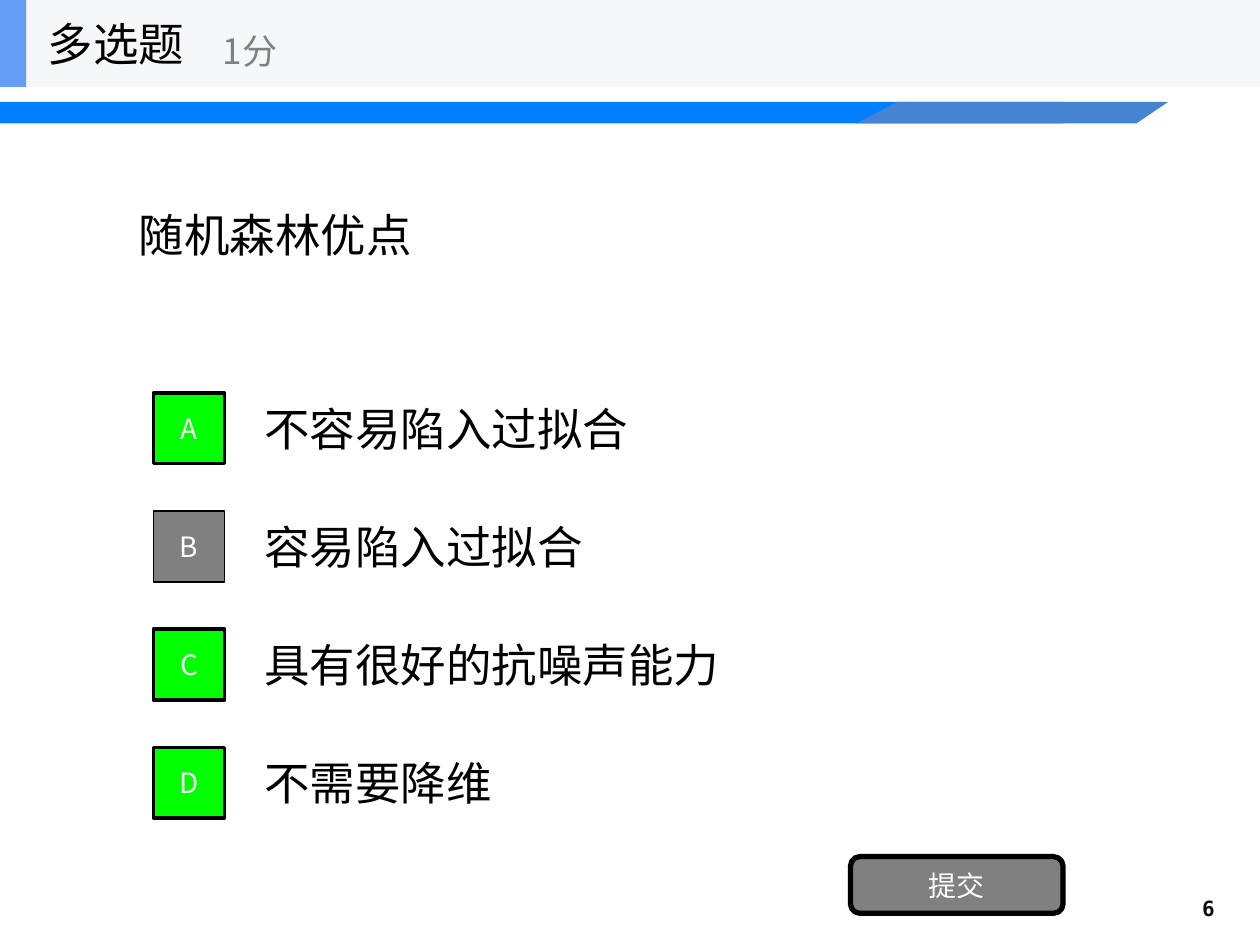
from dataclasses import dataclass

import lxml.etree
import pptx
import pptx.dml.color
import pptx.enum.shapes
import pptx.enum.text
import pptx.oxml.ns
import pptx.util

Pt = pptx.util.Pt
RGBColor = pptx.dml.color.RGBColor
Shape = pptx.enum.shapes.MSO_SHAPE
Align = pptx.enum.text.PP_ALIGN

BLACK = RGBColor(0, 0, 0)
WHITE = RGBColor(255, 255, 255)
GRAY = RGBColor(0x80, 0x80, 0x80)
GREEN = RGBColor(0, 255, 0)
INK = RGBColor(0x0D, 0x0D, 0x0D)
BAND_BLUE = RGBColor(0, 0x80, 0xFF)
BAND_TIP = RGBColor(0x45, 0x84, 0xD3)
HEADER_GRAY = RGBColor(0xF6, 0xF7, 0xF8)
HEADER_BLUE = RGBColor(0x63, 0x9E, 0xF4)

CHINESE_FONT = "Noto Sans CJK SC"
NUMBER_FONT = "DejaVu Sans Mono"
OPTION_TOP = 219.5
OPTION_STEP = 67.5
BADGE_SIZE = 40.5


@dataclass(frozen=True)
class Frame:
    left: float
    top: float
    width: float
    height: float

    def lengths(self) -> tuple:
        return Pt(self.left), Pt(self.top), Pt(self.width), Pt(self.height)


@dataclass(frozen=True)
class Style:
    size: float
    color: RGBColor = BLACK
    align: Align = Align.LEFT
    font: str = CHINESE_FONT
    bold: bool = False


@dataclass(frozen=True)
class Option:
    letter: str
    text: str
    chosen: bool


BODY = Style(26)
BUTTON = Style(16, WHITE, Align.CENTER)
OPTIONS = [
    Option("A", "不容易陷入过拟合", True),
    Option("B", "容易陷入过拟合", False),
    Option("C", "具有很好的抗噪声能力", True),
    Option("D", "不需要降维", True),
]


def write(shape, text: str, style: Style) -> None:
    box = shape.text_frame
    box.word_wrap = True
    box.auto_size = pptx.enum.text.MSO_AUTO_SIZE.NONE
    box.vertical_anchor = pptx.enum.text.MSO_ANCHOR.MIDDLE
    para = box.paragraphs[0]
    para.text = text
    para.alignment = style.align
    para.font.size = Pt(style.size)
    para.font.bold = style.bold
    para.font.color.rgb = style.color
    para.font.name = style.font
    defaults = para._p.pPr.find(pptx.oxml.ns.qn("a:defRPr"))
    east_asian = lxml.etree.SubElement(defaults, pptx.oxml.ns.qn("a:ea"))
    east_asian.set("typeface", style.font)


def paint(shape, fill: RGBColor, line_width: float = 0) -> None:
    shape.shadow.inherit = False
    shape.fill.solid()
    shape.fill.fore_color.rgb = fill
    if line_width:
        shape.line.color.rgb = BLACK
        shape.line.width = Pt(line_width)
    else:
        shape.line.fill.background()


def add_text(page, frame: Frame, text: str, style: Style) -> None:
    write(page.shapes.add_textbox(*frame.lengths()), text, style)


def add_block(page, frame: Frame, fill: RGBColor) -> None:
    paint(page.shapes.add_shape(Shape.RECTANGLE, *frame.lengths()), fill)


def add_button(page, kind: Shape, frame: Frame, text: str, fill: RGBColor, line_width: float) -> None:
    button = page.shapes.add_shape(kind, *frame.lengths())
    paint(button, fill, line_width)
    box = button.text_frame
    box.margin_left = box.margin_right = box.margin_top = box.margin_bottom = 0
    write(button, text, BUTTON)


def add_band(page) -> None:
    add_block(page, Frame(0, 58.3, 607.7, 12.2), BAND_BLUE)
    builder = page.shapes.build_freeform(Pt(489.6), Pt(70.5))
    corners = [(649.5, 70.5), (667.5, 58.3), (512.6, 58.3)]
    builder.add_line_segments([(Pt(x), Pt(y)) for x, y in corners], close=True)
    paint(builder.convert_to_shape(), BAND_TIP)


def add_option(page, option: Option, top: float) -> None:
    add_text(page, Frame(144, top, 504, 50.6), option.text, BODY)
    frame = Frame(87.8, top + 5, BADGE_SIZE, BADGE_SIZE)
    fill, line_width = (GREEN, 2) if option.chosen else (GRAY, 1)
    add_button(page, Shape.RECTANGLE, frame, option.letter, fill, line_width)


def add_question(page) -> None:
    title = page.shapes.title
    title.left, title.top, title.width, title.height = Frame(72, 49.7, 576, 168.5).lengths()
    write(title, "随机森林优点", BODY)


def add_header(page) -> None:
    add_block(page, Frame(0, 0, 720, 49.7), HEADER_GRAY)
    add_block(page, Frame(0, 0, 15, 49.7), HEADER_BLUE)
    add_text(page, Frame(20.2, 0, 149.8, 49.7), "多选题", BODY)
    add_text(page, Frame(120.2, 8.6, 180, 40.3), "1分", Style(20, GRAY))


def main() -> None:
    deck = pptx.Presentation()
    deck.slide_width, deck.slide_height = Pt(720), Pt(540)
    page = deck.slides.add_slide(deck.slide_layouts.get_by_name("Title Only"))
    add_question(page)
    add_band(page)
    add_text(page, Frame(656.6, 504.7, 44.6, 28.8), "6", Style(12, INK, Align.RIGHT, NUMBER_FONT, True))
    for index, option in enumerate(OPTIONS):
        add_option(page, option, OPTION_TOP + index * OPTION_STEP)
    add_button(page, Shape.ROUNDED_RECTANGLE, Frame(486, 489.5, 121.5, 32.4), "提交", GRAY, 3)
    add_header(page)
    deck.save("out.pptx")


if __name__ == "__main__":
    main()
